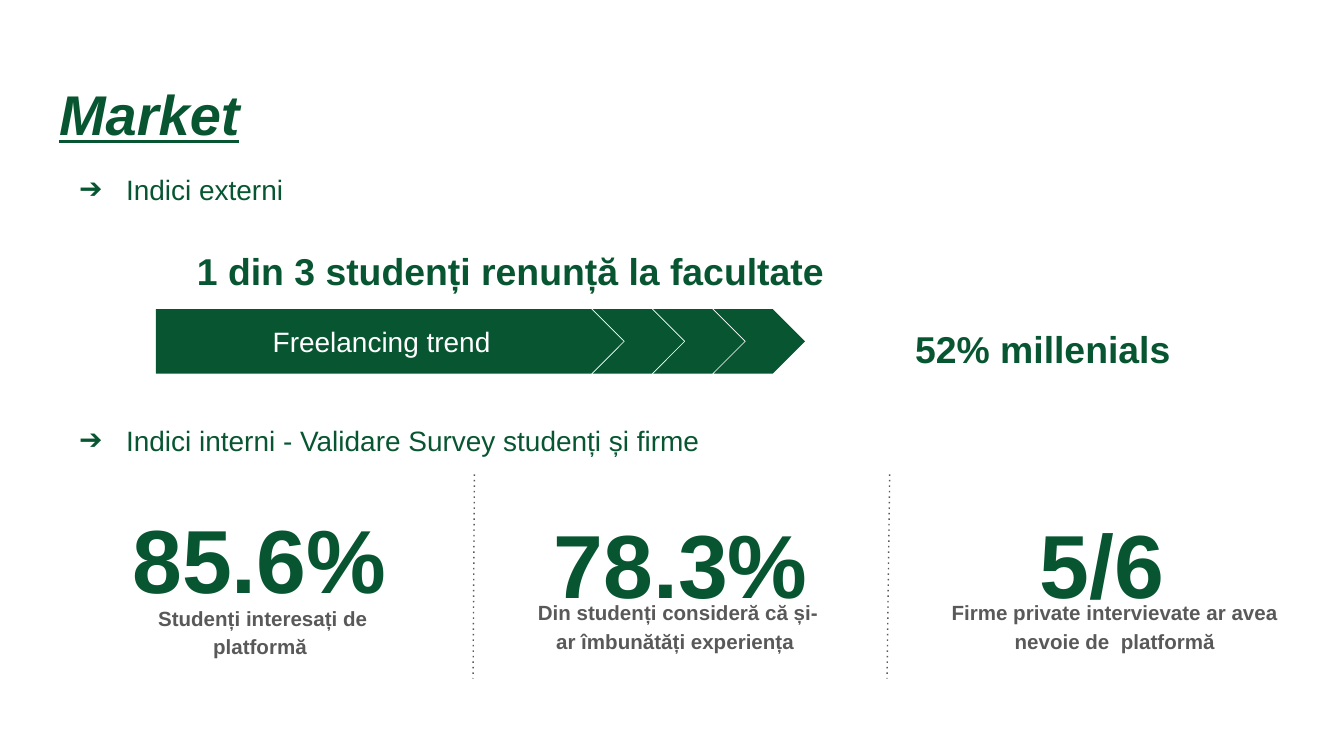
from lxml import etree
from pptx import Presentation
from pptx.dml.color import RGBColor
from pptx.enum.shapes import MSO_CONNECTOR, MSO_SHAPE
from pptx.enum.text import MSO_ANCHOR, MSO_AUTO_SIZE, PP_ALIGN
from pptx.oxml.ns import qn
from pptx.util import Inches, Pt

GREEN = "085631"
GRAY = "595959"
WHITE = "FFFFFF"


def paint(color_format, color):
    color_format.rgb = RGBColor.from_string(color)


def write(shape, text, size, color, bold=False, align=PP_ALIGN.LEFT, anchor=MSO_ANCHOR.TOP):
    """Fill a shape with one formatted paragraph and return that paragraph."""
    frame = shape.text_frame
    frame.word_wrap = True
    frame.auto_size = MSO_AUTO_SIZE.NONE
    frame.vertical_anchor = anchor
    frame.margin_left = frame.margin_right = Inches(0.1)
    frame.margin_top = frame.margin_bottom = Inches(0.1)
    paragraph = frame.paragraphs[0]
    paragraph.alignment = align
    run = paragraph.add_run()
    run.text = text
    run.font.name = "Arial"
    run.font.size = Pt(size)
    run.font.bold = bold
    paint(run.font.color, color)
    return paragraph


prs = Presentation()
prs.slide_width = Inches(10)
prs.slide_height = Inches(10) * 9 // 16
slide = prs.slides.add_slide(prs.slide_layouts[5])
shapes = slide.shapes

# Title
title = shapes.title
title.left, title.top = Inches(0.34), Inches(0.49)
title.width, title.height = Inches(9.32), Inches(0.63)
heading = write(title, "Market", 30, GREEN, bold=True)
heading.runs[0].font.italic = True
heading.runs[0].font.underline = True

# Section headings with arrow bullets
for text, top, width in [
    ("Indici externi", 1.18, 3.84),
    ("Indici interni - Validare Survey studenți și firme", 3.05, 5.54),
]:
    section = shapes.add_textbox(Inches(0.34), Inches(top), Inches(width), Inches(0.52))
    paragraph = write(section, text, 15, GREEN)
    properties = paragraph._p.get_or_add_pPr()
    properties.set("marL", str(Inches(0.5)))
    properties.set("indent", str(Inches(-0.35)))
    bullet_color = etree.SubElement(properties, qn("a:buClr"))
    etree.SubElement(bullet_color, qn("a:srgbClr"), val=GREEN)
    etree.SubElement(properties, qn("a:buFont"), typeface="Arial")
    etree.SubElement(properties, qn("a:buChar"), char="➔")

# Key figures and their captions
for text, left, top, width, height, size, color in [
    ("1 din 3 studenți renunță la facultate", 0.99, 1.7, 5.62, 0.48, 20, GREEN),
    ("52% millenials", 6.56, 2.28, 2.4, 0.76, 20, GREEN),
    ("85.6%", 0.8, 3.53, 2.26, 0.85, 48, GREEN),
    (" Studenți interesați de platformă", 0.92, 4.38, 2.03, 0.66, 11, GRAY),
    ("78.3%", 3.91, 3.57, 2.31, 0.85, 48, GREEN),
    ("Din studenți consideră că și-ar îmbunătăți experiența ", 3.89, 4.34, 2.31, 0.52, 11, GRAY),
    ("5/6", 7.07, 3.57, 2.26, 0.85, 48, GREEN),
    ("Firme private intervievate ar avea nevoie de  platformă", 6.93, 4.34, 2.73, 0.7, 11, GRAY),
]:
    figure = shapes.add_textbox(Inches(left), Inches(top), Inches(width), Inches(height))
    paragraph = write(figure, text, size, color, bold=True, align=PP_ALIGN.CENTER)
    paragraph.line_spacing = 1.15
    paragraph.space_after = Pt(16)

# Trend arrow: a pentagon followed by three chevrons
trend = shapes.add_group_shape()
pieces = [(MSO_SHAPE.PENTAGON, 1.16, 3.48)]
pieces += [(MSO_SHAPE.CHEVRON, 4.41 + 0.45 * i, 0.68) for i in range(3)]
for kind, left, width in pieces:
    piece = trend.shapes.add_shape(kind, Inches(left), Inches(2.3), Inches(width), Inches(0.48))
    piece.adjustments[0] = 0.5
    piece.shadow.inherit = False
    piece.fill.solid()
    paint(piece.fill.fore_color, GREEN)
    piece.line.fill.background()
    if kind == MSO_SHAPE.PENTAGON:
        write(piece, "Freelancing trend", 15, WHITE, align=PP_ALIGN.CENTER, anchor=MSO_ANCHOR.MIDDLE)

# Dotted dividers between the survey results
for top_x, bottom_x in [(3.53, 3.52), (6.62, 6.6)]:
    divider = shapes.add_connector(
        MSO_CONNECTOR.STRAIGHT, Inches(top_x), Inches(3.53), Inches(bottom_x), Inches(5.05)
    )
    divider.line.width = Pt(0.75)
    paint(divider.line.color, GRAY)
    properties = divider._element.spPr
    etree.SubElement(properties.find(qn("a:ln")), qn("a:prstDash"), val="dot")
    etree.SubElement(properties, qn("a:effectLst"))

prs.save("out.pptx")
